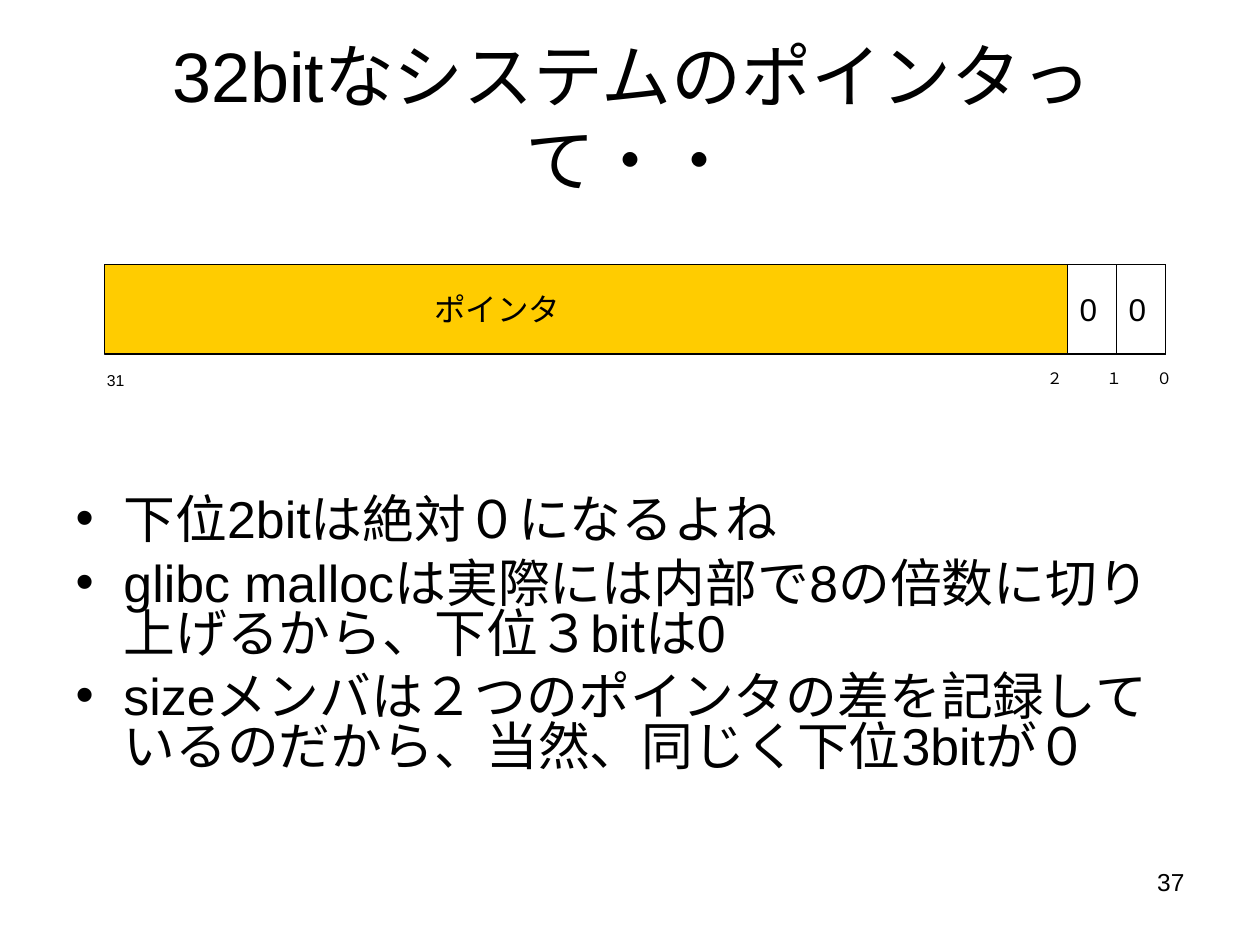
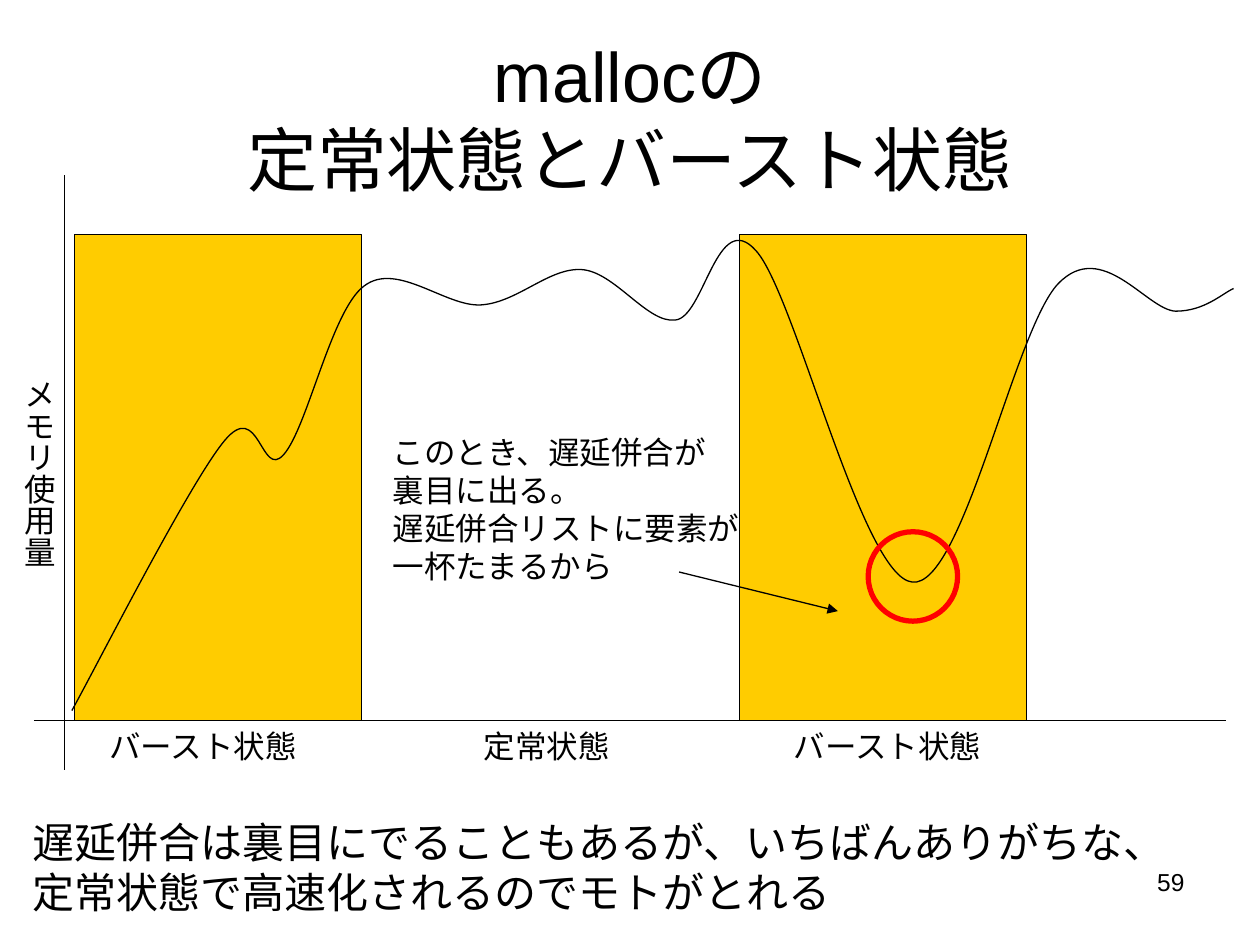
from lxml import etree
from pptx import Presentation
from pptx.dml.color import RGBColor
from pptx.enum.shapes import MSO_CONNECTOR, MSO_SHAPE
from pptx.enum.text import MSO_ANCHOR, MSO_AUTO_SIZE, PP_ALIGN
from pptx.oxml.ns import qn
from pptx.util import Pt

PX = 9144
FONT = "Arial"
INK, GOLD, WHITE, RED = "000000", "FFCC00", "FFFFFF", "FF0000"
RECT, OVAL = MSO_SHAPE.RECTANGLE, MSO_SHAPE.OVAL
LINE = MSO_CONNECTOR.STRAIGHT
MIDDLE, TOP = MSO_ANCHOR.MIDDLE, MSO_ANCHOR.TOP
LEFT, CENTER, RIGHT = PP_ALIGN.LEFT, PP_ALIGN.CENTER, PP_ALIGN.RIGHT
FIXED, GROW = MSO_AUTO_SIZE.NONE, MSO_AUTO_SIZE.SHAPE_TO_FIT_TEXT

POINTS = [
    "32bitなシステムのポインタって・・",
    "下位2bitは絶対０になるよね",
    "glibc mallocは実際には内部で8の倍数に切り上げるから、下位３bitは0",
    "sizeメンバは２つのポインタの差を記録しているのだから、当然、同じく下位3bitが０",
]
USAGE = [
    (0, 400), (20, 364), (93, 220), (121, 186), (149, 152), (150, 217), (168, 197),
    (187, 176), (206, 82), (232, 63), (258, 43), (297, 80), (325, 78),
    (354, 76), (379, 48), (405, 50), (431, 52), (457, 93), (479, 90),
    (502, 88), (512, 0), (543, 35), (574, 69), (627, 294), (667, 298),
    (707, 303), (748, 97), (783, 61), (818, 25), (853, 82), (876, 83),
    (899, 83), (913, 69), (922, 65),
]


def emu(*sizes):
    """Turn px lengths into EMU."""
    return [size * PX for size in sizes]


def paint(color):
    """Turn a hex string into a colour."""
    return RGBColor.from_string(color)


def write(para, text, size, align=LEFT):
    """Add one styled run to a paragraph."""
    para.alignment = align
    run = para.add_run()
    run.text = text
    run.font.name = FONT
    run.font.size = Pt(size)
    run.font.color.rgb = paint(INK)
    etree.SubElement(run.font._element, qn("a:ea"), typeface=FONT)


def place(shape, box):
    """Move a shape to a px box."""
    shape.left, shape.top, shape.width, shape.height = emu(*box)


def label(slide, box, lines, size=18, align=LEFT, wrap=False, vert=None):
    """Add a text box with one paragraph for each line."""
    frame = slide.shapes.add_textbox(*emu(*box)).text_frame
    frame.word_wrap = wrap
    frame.auto_size = FIXED if wrap else GROW
    if vert:
        frame._txBody.bodyPr.set("vert", vert)
        frame.margin_left = frame.margin_right = 5 * PX
        frame.margin_top = frame.margin_bottom = 10 * PX
    for num, line in enumerate(lines):
        para = frame.add_paragraph() if num else frame.paragraphs[0]
        write(para, line, size, align)


def block(slide, box, fill=None, line=INK, width=0.75, kind=RECT):
    """Add an outlined shape, filled or hollow."""
    shape = slide.shapes.add_shape(kind, *emu(*box))
    shape.shadow.inherit = False
    if fill:
        shape.fill.solid()
        shape.fill.fore_color.rgb = paint(fill)
    else:
        shape.fill.background()
    shape.line.color.rgb = paint(line)
    shape.line.width = Pt(width)


def rule(slide, start, end, arrow=False):
    """Draw a thin line, with an arrowhead if asked."""
    line = slide.shapes.add_connector(LINE, *emu(*start, *end))
    line.line.color.rgb = paint(INK)
    line.line.width = Pt(0.75)
    if arrow:
        etree.SubElement(line.line._get_or_add_ln(), qn("a:tailEnd"), type="triangle")
    etree.SubElement(line._element.spPr, qn("a:effectLst"))


def curve(slide, x, y, dots):
    """Draw a smooth line through cubic Bezier points."""
    dots = [emu(x + dx, y + dy) for dx, dy in dots]
    pen = slide.shapes.build_freeform(*dots[0])
    pen.add_line_segments(dots[1:], close=False)
    shape = pen.convert_to_shape()
    shape.shadow.inherit = False
    shape.fill.background()
    shape.line.color.rgb = paint(INK)
    shape.line.width = Pt(0.75)
    track = shape._element.find(".//" + qn("a:path"))
    steps = track.findall(qn("a:lnTo"))
    for num in range(0, len(steps), 3):
        bend = etree.SubElement(track, qn("a:cubicBezTo"))
        for step in steps[num:num + 3]:
            bend.append(step[0])
            track.remove(step)


def start(deck, layout, lines, page):
    """Add a slide with its title and page number."""
    slide = deck.slides.add_slide(deck.slide_layouts[layout])
    title = slide.shapes.title
    place(title, (50, 30, 900, 125))
    frame = title.text_frame
    frame.auto_size = FIXED
    frame.vertical_anchor = MIDDLE
    para = frame.paragraphs[0]
    for num, line in enumerate(lines):
        if num:
            para.add_line_break()
        write(para, line, 40, CENTER)
    label(slide, (717, 683, 233, 52), [page], 14, RIGHT, True)
    return slide


def bullets(slide, box, lines):
    """Fill the body placeholder with a bulleted list."""
    body = slide.placeholders[1]
    place(body, box)
    frame = body.text_frame
    frame.auto_size = FIXED
    frame.vertical_anchor = TOP
    for num, line in enumerate(lines):
        para = frame.add_paragraph() if num else frame.paragraphs[0]
        para.line_spacing = 0.8
        para.space_before = Pt(8)
        write(para, line, 29.6)
        props = para._p.get_or_add_pPr()
        props.set("marL", str(38 * PX))
        props.set("indent", str(-38 * PX))
        etree.SubElement(props, qn("a:buChar"), char="•")


def word(slide, x, y, w, h):
    """Draw the 32-bit word with its two zero bits."""
    cell = 39
    block(slide, (x, y, w, h), GOLD)
    label(slide, (x + 252, y + 15, 120, 40), ["ポインタ"])
    for num in (1, 2):
        left = x + w - num * cell
        block(slide, (left, y, cell, h), WHITE)
        label(slide, (left, y + 15, 34, 40), ["0"])
    label(slide, (x - 8, y + h + 8, 34, 25), ["31"], 9)
    for left, bit in ((738, "２"), (785, "１"), (825, "０")):
        label(slide, (x + left, y + h + 7, 32, 25), [bit], 9)


def graph(slide, x, y, w, h):
    """Draw memory use over time; x, y is the top of the upright axis."""
    base = y + 433
    for left in (8, 536):
        block(slide, (x + left, base - 386, 228, 386), GOLD)
    curve(slide, x + 6, y + 25, USAGE)
    rule(slide, (x - 24, base), (x + w, base))
    rule(slide, (x, y), (x, y + h))
    for left, width, name in (
        (26, 170, "バースト状態"), (323, 120, "定常状態"), (569, 170, "バースト状態"),
    ):
        label(slide, (x + left, base, width, 40), [name])
    label(slide, (x - 50, y + 152, 50, 166), ["メモリ使用量"], vert="eaVert")
    block(slide, (x + 638, y + 283, 71, 71), None, RED, 3, OVAL)
    rule(slide, (x + 488, y + 315), (x + 614, y + 346), True)
    label(slide, (x + 251, y + 200, 295, 130), [
        "このとき、遅延併合が", "裏目に出る。",
        "遅延併合リストに要素が", "一杯たまるから",
    ])


def main():
    """Build both slides and save them."""
    deck = Presentation()
    deck.slide_width, deck.slide_height = emu(1000, 750)
    slide = start(deck, 1, POINTS[:1], "37")
    word(slide, 83, 210, 842, 71)
    bullets(slide, (50, 391, 900, 279), POINTS[1:])
    slide = start(deck, 5, ["mallocの", "定常状態とバースト状態"], "59")
    graph(slide, 51, 139, 922, 472)
    label(slide, (16, 643, 920, 90), [
        "遅延併合は裏目にでることもあるが、いちばんありがちな、",
        "定常状態で高速化されるのでモトがとれる",
    ], 24)
    deck.save("out.pptx")


if __name__ == "__main__":
    main()
